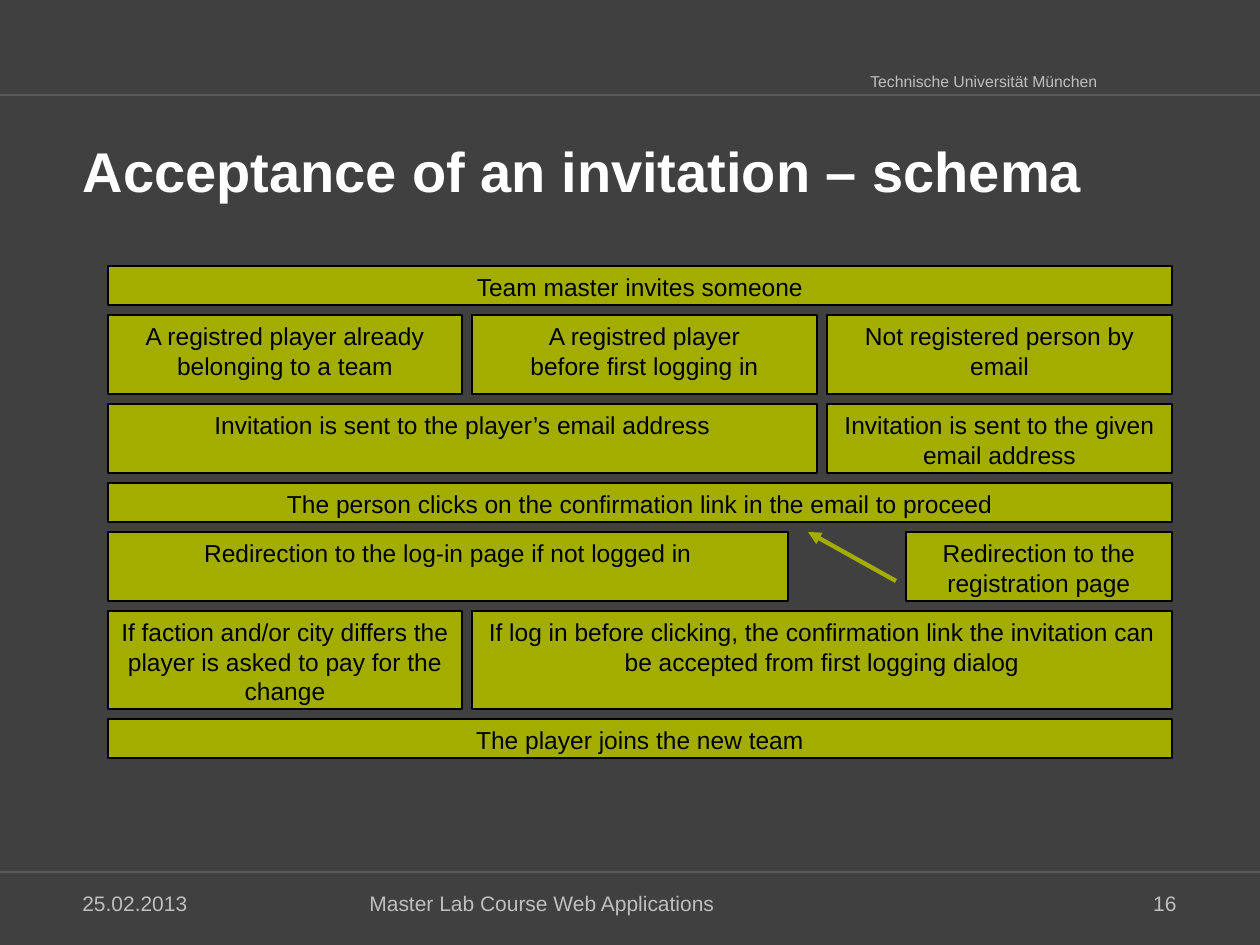
from dataclasses import dataclass

from lxml import etree
from pptx import Presentation
from pptx.dml.color import RGBColor
from pptx.enum.shapes import MSO_CONNECTOR, MSO_SHAPE
from pptx.enum.text import MSO_ANCHOR, MSO_AUTO_SIZE, PP_ALIGN
from pptx.oxml.ns import qn
from pptx.util import Emu, Pt

RECT = MSO_SHAPE.RECTANGLE
STRAIGHT = MSO_CONNECTOR.STRAIGHT
TOP, MIDDLE, BOTTOM = MSO_ANCHOR.TOP, MSO_ANCHOR.MIDDLE, MSO_ANCHOR.BOTTOM
LEFT, CENTER, RIGHT = PP_ALIGN.LEFT, PP_ALIGN.CENTER, PP_ALIGN.RIGHT

PX_PER_INCH = 126
SLIDE_W, SLIDE_H = 1260, 945
FONT = "Arial"
COLORS = {
    "background": "404040",
    "rule": "595959",
    "muted": "BFBFBF",
    "title": "FFFFFF",
    "box": "A2AD00",
    "ink": "000000",
}

GRID_LEFT, GRID_RIGHT, GRID_TOP, GAP = 108, 1172, 266, 10
COL_2, COL_3 = 472, 827
LOGIN_RIGHT, REGISTER_LEFT = 788, 906


@dataclass(frozen=True)
class Box:
    left: int
    right: int
    text: str


@dataclass(frozen=True)
class Row:
    height: int
    boxes: tuple[Box, ...]


@dataclass(frozen=True)
class Label:
    left: int
    top: int
    width: int
    height: int
    text: str
    size: int = 12
    align: PP_ALIGN = LEFT
    anchor: MSO_ANCHOR = MIDDLE
    wrap: bool = True


def full_row(text: str) -> Row:
    return Row(39, (Box(GRID_LEFT, GRID_RIGHT, text),))


ROWS = (
    full_row("Team master invites someone"),
    Row(79, (
        Box(GRID_LEFT, COL_2 - GAP, "A registred player already belonging to a team"),
        Box(COL_2, COL_3 - GAP, "A registred player\nbefore first logging in"),
        Box(COL_3, GRID_RIGHT, "Not registered person by email"),
    )),
    Row(69, (
        Box(GRID_LEFT, COL_3 - GAP, "Invitation is sent to the player’s email address"),
        Box(COL_3, GRID_RIGHT, "Invitation is sent to the given email address"),
    )),
    full_row("The person clicks on the confirmation link in the email to proceed"),
    Row(69, (
        Box(GRID_LEFT, LOGIN_RIGHT, "Redirection to the log-in page if not logged in"),
        Box(REGISTER_LEFT, GRID_RIGHT, "Redirection to the registration page"),
    )),
    Row(98, (
        Box(GRID_LEFT, COL_2 - GAP,
            "If faction and/or city differs the player is asked to pay for the change"),
        Box(COL_2, GRID_RIGHT,
            "If log in before clicking, the confirmation link the invitation can "
            "be accepted from first logging dialog"),
    )),
    full_row("The player joins the new team"),
)

LABELS = (
    Label(858, 66, 253, 31, "Technische Universität München",
          size=9, anchor=TOP, wrap=False),
    Label(70, 882, 262, 42, "25.02.2013"),
    Label(357, 882, 546, 42, "Master Lab Course Web Applications"),
    Label(927, 882, 262, 42, "16", align=RIGHT),
)


def px(n: int) -> Emu:
    return Emu(round(n * 914400 / PX_PER_INCH))


def rgb(name: str) -> RGBColor:
    return RGBColor.from_string(COLORS[name])


def write(tf, text: str, *, size: int, color: str, bold: bool = False,
          align=LEFT, anchor=TOP, wrap: bool = True) -> None:
    """Fill a text frame, one paragraph per line of text."""
    tf.auto_size = MSO_AUTO_SIZE.NONE
    tf.word_wrap = wrap
    tf.vertical_anchor = anchor
    tf.text = text
    for p in tf.paragraphs:
        p.alignment = align
        for r in p.runs:
            r.font.name = FONT
            r.font.size = Pt(size)
            r.font.bold = bold
            r.font.color.rgb = rgb(color)


def add_label(s, label: Label) -> None:
    tb = s.shapes.add_textbox(px(label.left), px(label.top),
                              px(label.width), px(label.height))
    write(tb.text_frame, label.text, size=label.size, color="muted",
          align=label.align, anchor=label.anchor, wrap=label.wrap)


def add_box(s, box: Box, top: int, height: int) -> None:
    sp = s.shapes.add_shape(RECT, px(box.left), px(top),
                            px(box.right - box.left), px(height))
    sp.shadow.inherit = False
    sp.fill.solid()
    sp.fill.fore_color.rgb = rgb("box")
    sp.line.color.rgb = rgb("ink")
    sp.line.width = Pt(0.75)
    write(sp.text_frame, box.text, size=14, color="ink", align=CENTER)


def add_line(s, start: tuple[int, int], end: tuple[int, int], color: str,
             width: float, arrow: bool = False) -> None:
    cx = s.shapes.add_connector(STRAIGHT, *map(px, start + end))
    cx.line.color.rgb = rgb(color)
    cx.line.width = Pt(width)
    if arrow:
        etree.SubElement(cx.line._get_or_add_ln(), qn("a:tailEnd"), type="triangle")
    etree.SubElement(cx._element.spPr, qn("a:effectLst"))


def main() -> None:
    prs = Presentation()
    prs.slide_width, prs.slide_height = px(SLIDE_W), px(SLIDE_H)
    s = prs.slides.add_slide(prs.slide_layouts[5])
    s.background.fill.solid()
    s.background.fill.fore_color.rgb = rgb("background")

    for y in (95, 872):
        add_line(s, (0, y), (SLIDE_W, y), "rule", 0.75)

    title = s.shapes.title
    title.left, title.top, title.width, title.height = map(px, (70, 126, 1120, 84))
    write(title.text_frame, "Acceptance of an invitation – schema",
          size=32, color="title", bold=True, anchor=BOTTOM)

    for label in LABELS:
        add_label(s, label)

    top = GRID_TOP
    for row in ROWS:
        for box in row.boxes:
            add_box(s, box, top, row.height)
        top += row.height + GAP

    add_line(s, (896, 581), (808, 532), "box", 2.5, arrow=True)
    prs.save("out.pptx")


if __name__ == "__main__":
    main()
